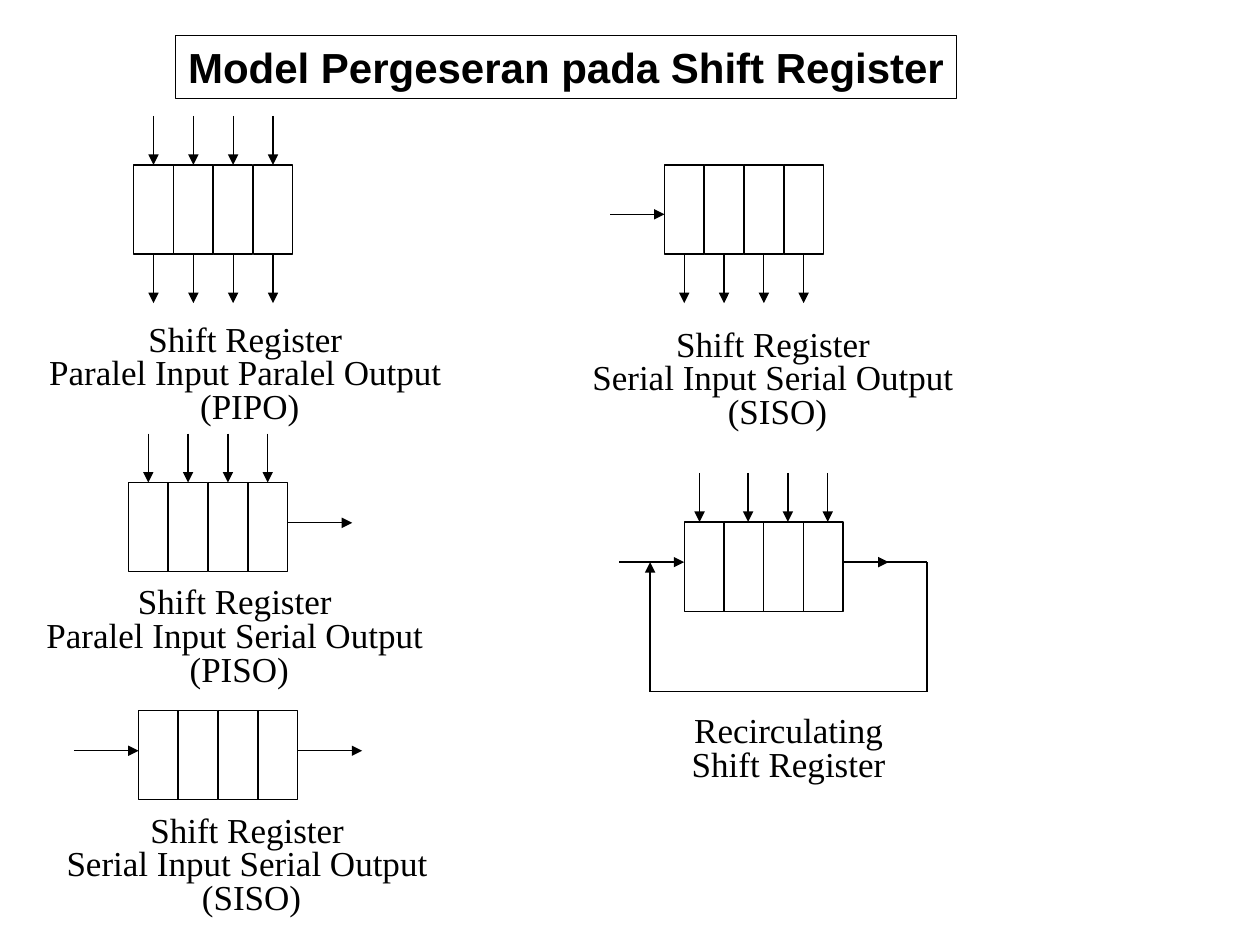
from dataclasses import dataclass

from lxml import etree
from pptx import Presentation
from pptx.dml.color import RGBColor
from pptx.enum import shapes, text
from pptx.oxml import ns
from pptx.util import Pt


@dataclass(frozen=True)
class Theme:
    """Colours, fonts, type sizes and line width of the slide."""
    ink: RGBColor = RGBColor(0, 0, 0)
    line: float = 0.75
    title_font: str = "Arial"
    title_size: float = 24
    label_font: str = "Times New Roman"
    label_size: float = 20


THEME = Theme()
CELLS = 4
CELL_W, CELL_H, PITCH = 22.5, 51, 22.75
STEM = 28
REGISTER_W = PITCH * (CELLS - 1) + CELL_W


def set_attrs(obj, **values):
    """Set each named attribute of an object."""
    for name, value in values.items():
        setattr(obj, name, value)


def outline(sp):
    """Give a shape or connector the theme's line."""
    sp.line.color.rgb = THEME.ink
    sp.line.width = Pt(THEME.line)


def connect(s, start, end, head=True):
    """Draw a line between two points, with an arrowhead at its end if wanted."""
    sp = s.shapes.add_connector(
        shapes.MSO_CONNECTOR.STRAIGHT, *(Pt(v) for v in (*start, *end)))
    outline(sp)
    if head:
        etree.SubElement(sp.line._get_or_add_ln(), ns.qn("a:tailEnd"), type="triangle")
    etree.SubElement(sp._element.spPr, ns.qn("a:effectLst"))
    return sp


def add_title(s, x, y, w, h, words):
    """Place the framed slide title on one line."""
    sp = s.shapes.title
    set_attrs(sp, left=Pt(x), top=Pt(y), width=Pt(w), height=Pt(h))
    outline(sp)
    tf = sp.text_frame
    tf.text = words
    set_attrs(tf, word_wrap=False, auto_size=text.MSO_AUTO_SIZE.NONE,
              vertical_anchor=text.MSO_ANCHOR.MIDDLE, margin_right=Pt(0))
    p = tf.paragraphs[0]
    p.alignment = text.PP_ALIGN.LEFT
    set_attrs(p.font, name=THEME.title_font, size=Pt(THEME.title_size), bold=True)
    p.font.color.rgb = THEME.ink


def add_caption(s, x, y, w, h, lines):
    """Place a centred caption, one paragraph for each line."""
    tf = s.shapes.add_textbox(Pt(x), Pt(y), Pt(w), Pt(h)).text_frame
    set_attrs(tf, word_wrap=False, auto_size=text.MSO_AUTO_SIZE.SHAPE_TO_FIT_TEXT)
    tf.text = "\n".join(lines)
    for p in tf.paragraphs:
        set_attrs(p, alignment=text.PP_ALIGN.CENTER, line_spacing=0.8)
        set_attrs(p.font, name=THEME.label_font, size=Pt(THEME.label_size))
        p.font.color.rgb = THEME.ink


def add_register(s, x, y, inputs=False, outputs=False, serial_in=0, serial_out=0, port=23):
    """Draw a row of cells with parallel arrows and serial arrows of given lengths."""
    bottom = y + CELL_H
    for i in range(CELLS):
        left = x + i * PITCH
        mid = left + CELL_W / 2
        sp = s.shapes.add_shape(
            shapes.MSO_SHAPE.RECTANGLE, Pt(left), Pt(y), Pt(CELL_W), Pt(CELL_H))
        sp.shadow.inherit = False
        sp.fill.background()
        outline(sp)
        if inputs:
            connect(s, (mid, y - STEM), (mid, y)).end_connect(sp, 0)
        if outputs:
            connect(s, (mid, bottom), (mid, bottom + STEM)).begin_connect(sp, 2)
    right, level = x + REGISTER_W, y + port
    if serial_in:
        connect(s, (x - serial_in, level), (x, level))
    if serial_out:
        connect(s, (right, level), (right + serial_out, level))


def add_recirculating(s, x, y):
    """Draw a register whose output loops back to its serial input."""
    add_register(s, x, y, serial_in=37, serial_out=26)
    for i, shift in enumerate((-2.5, 2.5, 2.5, 2.5)):
        mid = x + i * PITCH + CELL_W / 2 + shift
        connect(s, (mid, y - STEM), (mid, y))
    level, low = y + 23, y + 97
    right, back = x + REGISTER_W, x - 19.5
    far = right + 48
    loop = [(right, level), (far, level), (far, low), (back, low), (back, level)]
    for i, (start, end) in enumerate(zip(loop, loop[1:])):
        connect(s, start, end, head=i == len(loop) - 2)


def main():
    """Build and save the slide."""
    prs = Presentation()
    set_attrs(prs, slide_width=Pt(720), slide_height=Pt(540))
    s = prs.slides.add_slide(prs.slide_layouts[5])
    add_title(s, 100.25, 20.25, 446.5, 36.25, "Model Pergeseran pada Shift Register")

    add_register(s, 76.5, 94.25, inputs=True, outputs=True)
    add_register(s, 73.5, 275.75, inputs=True, serial_out=37)
    add_register(s, 379.75, 94.25, outputs=True, serial_in=31, port=28.25)
    add_register(s, 79.25, 406, serial_in=37, serial_out=37)
    add_recirculating(s, 391, 298.25)

    name = "Shift Register "
    captions = [
        ((21, 182.25, 243.5, 65), (name, "Paralel Input Paralel Output ", "(PIPO)")),
        ((19.25, 332.5, 235, 65), (name, "Paralel Input Serial Output ", "(PISO)")),
        ((30.75, 463, 226, 65), (name, "Serial Input Serial Output ", "(SISO)")),
        ((331.25, 185.25, 226, 65), (name, "Serial Input Serial Output ", "(SISO)")),
        ((388, 406, 130.25, 46), ("Recirculating ", name)),
    ]
    for box, lines in captions:
        add_caption(s, *box, lines)
    prs.save("out.pptx")


if __name__ == "__main__":
    main()
